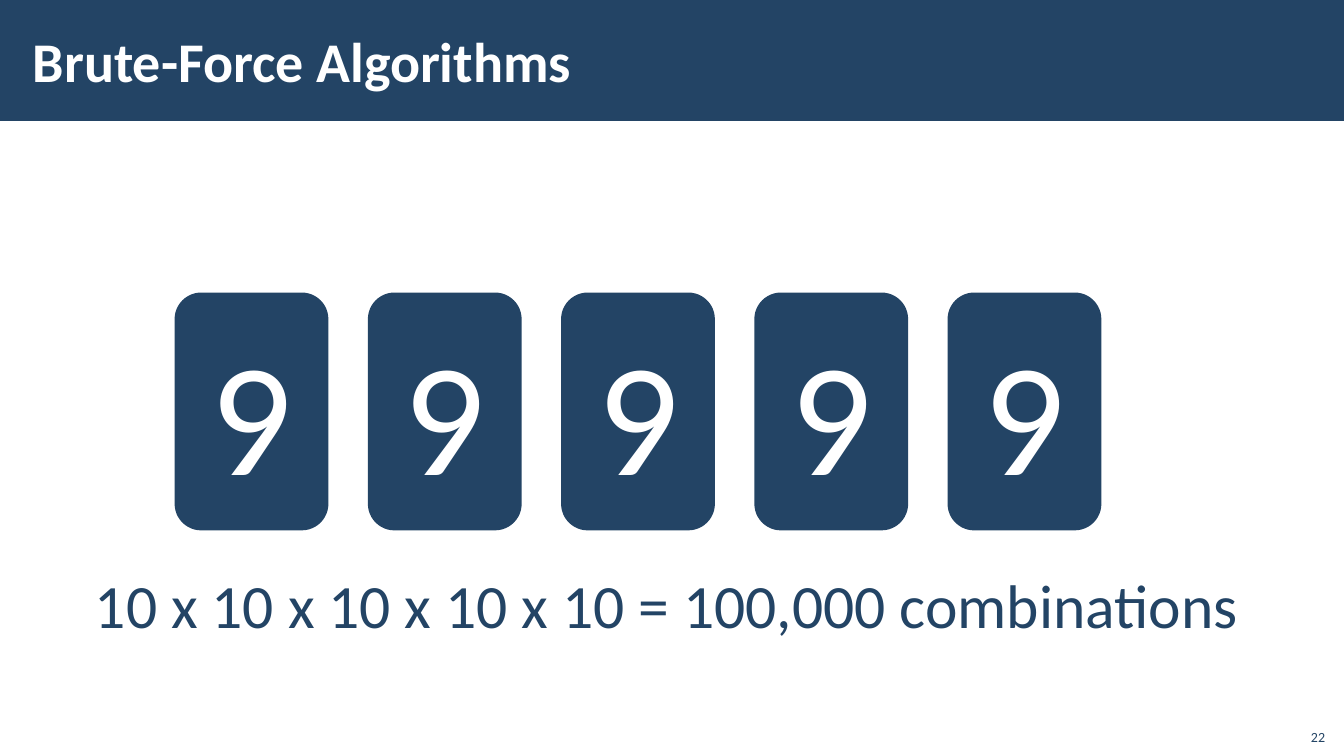
import pptx
import pptx.util
import pptx.dml.color
import pptx.enum.shapes
import pptx.enum.text

NAVY = pptx.dml.color.RGBColor(0x23, 0x44, 0x65)
WHITE = pptx.dml.color.RGBColor(0xFF, 0xFF, 0xFF)
FONT = "Calibri"
SHAPE = pptx.enum.shapes.MSO_SHAPE
ALIGN = pptx.enum.text.PP_ALIGN
ANCHOR = pptx.enum.text.MSO_ANCHOR
AUTO = pptx.enum.text.MSO_AUTO_SIZE
SCALE = 914400 / 100.8


def px(n):
    return pptx.util.Emu(round(n * SCALE))


def write(tf, text, size, color, align=ALIGN.LEFT, anchor=ANCHOR.TOP, bold=False):
    tf.text = text
    tf.vertical_anchor = anchor
    p = tf.paragraphs[0]
    p.alignment = align
    p.font.name = FONT
    p.font.size = pptx.util.Pt(size)
    p.font.bold = bold
    p.font.color.rgb = color


def add_block(s, kind, x, y, w, h):
    sp = s.shapes.add_shape(kind, px(x), px(y), px(w), px(h))
    sp.shadow.inherit = False
    sp.fill.solid()
    sp.fill.fore_color.rgb = NAVY
    sp.line.fill.background()
    return sp


def add_text(s, text, size, x, y, w, h, wrap=True, **style):
    tf = s.shapes.add_textbox(px(x), px(y), px(w), px(h)).text_frame
    tf.word_wrap = wrap
    write(tf, text, size, NAVY, **style)
    return tf


def add_header(s, text, x, y, w, h):
    band = add_block(s, SHAPE.RECTANGLE, x, y, w, h)
    title = s.shapes.title
    title.left, title.top = px(x + 21), px(y + 11)
    title.width, title.height = px(1072), px(h - 23)
    tf = title.text_frame
    tf.auto_size = AUTO.NONE
    tf.margin_left = tf.margin_right = px(12)
    tf.margin_top = tf.margin_bottom = px(4)
    write(tf, text, 40, WHITE, anchor=ANCHOR.MIDDLE, bold=True)
    # Bring the title in front of its band
    band.element.addnext(title.element)


def add_digit_cards(s, digits, x, y, w, h, card_w):
    pitch = (w - card_w) / (len(digits) - 1)
    for i, digit in enumerate(digits):
        card = add_block(s, SHAPE.ROUNDED_RECTANGLE, x + i * pitch, y, card_w, h)
        card.line.color.rgb = NAVY
        card.line.width = pptx.util.Pt(2)
        write(card.text_frame, digit, 115, WHITE, ALIGN.CENTER, ANCHOR.MIDDLE)


def build_slide(prs):
    s = prs.slides.add_slide(prs.slide_layouts[5])
    # Title band
    add_header(s, "Brute-Force Algorithms", 0, 0, 1344, 121)
    # Five-digit code
    add_digit_cards(s, "99999", 176, 294, 924, 235, 151)
    # Number of combinations
    tf = add_text(s, "10 x 10 x 10 x 10 x 10 = 100,000 combinations", 44,
                  85, 562, 1175, 85, wrap=False)
    tf.auto_size = AUTO.SHAPE_TO_FIT_TEXT
    # Page number
    add_text(s, "22", 10, 1295, 718, 40, 32, align=ALIGN.RIGHT, anchor=ANCHOR.BOTTOM)


prs = pptx.Presentation()
prs.slide_width, prs.slide_height = px(1344), px(756)
build_slide(prs)
prs.save("out.pptx")
